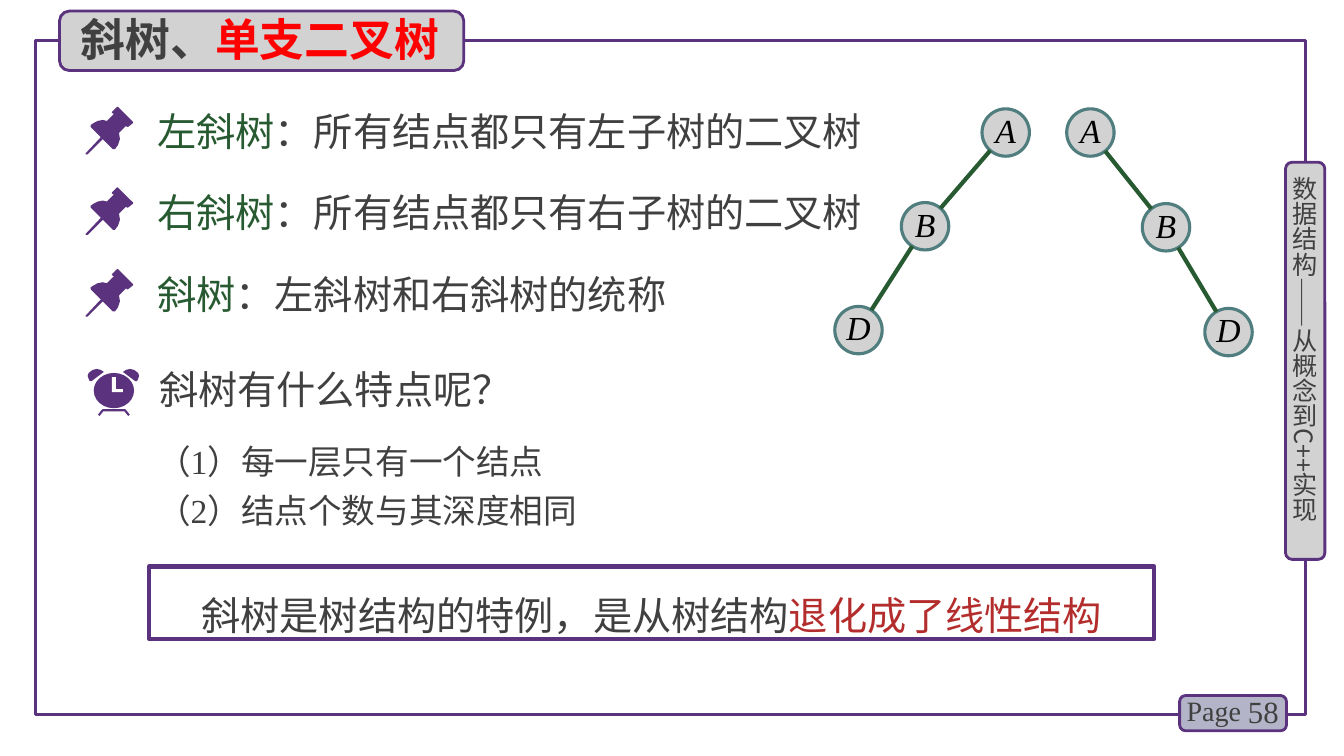
from math import hypot
from pptx import Presentation
from pptx.dml.color import RGBColor
from pptx.enum.shapes import MSO_CONNECTOR, MSO_SHAPE
from pptx.enum.text import MSO_ANCHOR, PP_ALIGN
from pptx.oxml.ns import qn
from pptx.util import Inches, Pt

RECT, ROUND, OVAL = MSO_SHAPE.RECTANGLE, MSO_SHAPE.ROUNDED_RECTANGLE, MSO_SHAPE.OVAL
STRAIGHT = MSO_CONNECTOR.STRAIGHT
TOP, MIDDLE = MSO_ANCHOR.TOP, MSO_ANCHOR.MIDDLE
LEFT, CENTER, RIGHT = PP_ALIGN.LEFT, PP_ALIGN.CENTER, PP_ALIGN.RIGHT
SANS, SERIF = "Noto Sans CJK SC", "Times New Roman"
PURPLE, GRAY, INK, GREEN, WHITE = "5A327D", "D2D2D2", "404040", "285A32", "FFFFFF"

# Grid of 1333 columns by 750 rows
CELL = Inches(0.01)
COLUMNS, ROWS = 1333, 750
hue = RGBColor.from_string

deck = Presentation()
deck.slide_width, deck.slide_height = COLUMNS * CELL, ROWS * CELL
page = deck.slides.add_slide(deck.slide_layouts[6])


def paint(shape, fill=None, line=None, width=0):
    shape.shadow.inherit = False
    if fill:
        shape.fill.solid()
        shape.fill.fore_color.rgb = hue(fill)
    else:
        shape.fill.background()
    if line:
        shape.line.color.rgb = hue(line)
        shape.line.width = Pt(width)
    else:
        shape.line.fill.background()


def write(shape, paragraphs, size, insets=(10, 5), anchor=TOP, align=LEFT,
          spacing=None, **style):
    """Each paragraph is a list of (text, font, colour) spans."""
    frame = shape.text_frame
    across, down = (inset * CELL for inset in insets)
    layout = dict(word_wrap=True, vertical_anchor=anchor, margin_left=across,
                  margin_right=across, margin_top=down, margin_bottom=down)
    for name, value in layout.items():
        setattr(frame, name, value)
    for number, spans in enumerate(paragraphs):
        para = frame.add_paragraph() if number else frame.paragraphs[0]
        para.alignment, para.line_spacing = align, spacing
        for text, font, color in spans:
            span = para.add_run()
            span.text = text
            for name, value in dict(name=font, size=Pt(size), **style).items():
                setattr(span.font, name, value)
            span.font.color.rgb = hue(color)
            east_asian = span.font._element.makeelement(qn("a:ea"), {"typeface": SANS})
            span.font._element.append(east_asian)


# Frame, page tag, side tag and title tag
for kind, place, fill, width in [
    (RECT, (35, 40, 1260, 669), None, 2.25),
    (ROUND, (1170, 690, 106, 35), "B4B4C8", 2),
    (ROUND, (1275, 161, 39, 394), GRAY, 2),
    (ROUND, (59, 11, 401, 59), GRAY, 2),
]:
    tag = page.shapes.add_shape(kind, *(CELL * n for n in place))
    paint(tag, fill, PURPLE, width)

# Plain text boxes
labels = [
    ((1207, 686, 71, 40), [[("58", SERIF, INK)]],
     dict(size=22, anchor=MIDDLE, align=RIGHT)),
    ((1167, 683, 78, 44), [[("Page", SERIF, INK)]], dict(size=20)),
    ((70, 7, 500, 64), [[("斜树、", SANS, INK), ("单支二叉树", SANS, "FF0000")]],
     dict(size=32, bold=True)),
    ((148, 358, 524, 57), [[("斜树有什么特点呢？", SANS, INK)]], dict(size=28)),
    ((146, 424, 496, 108),
     [[("（1）", SERIF, INK), ("每一层只有一个结点", SANS, INK)],
      [("（2）", SERIF, INK), ("结点个数与其深度相同", SANS, INK)]],
     dict(size=24, spacing=Pt(35))),
]
for place, paragraphs, options in labels:
    box = page.shapes.add_textbox(*(CELL * n for n in place))
    write(box, paragraphs, **options)

# Vertical book title
book = page.shapes.add_textbox(*(CELL * n for n in (1279, 175, 30, 378)))
write(book, [[("数据结构——从概念到C++实现", SANS, INK)]], 18, insets=(0, 0))
book.text_frame._txBody.bodyPr.set("vert", "eaVert")

# Definitions, each with a pushpin
pin_head = [(132, 15), (117, 0), (116, 0), (111, 5), (111, 6), (113, 7), (106, 14),
            (102, 13), (97, 14), (93, 16), (90, 18), (90, 20), (112, 42), (114, 42),
            (117, 38), (119, 32), (118, 26), (125, 19), (126, 20), (127, 20), (132, 16)]
pin_needle = [(85, 46), (101, 29), (102, 28), (103, 29), (103, 31), (87, 47), (85, 47)]
definitions = [("左斜树", "：所有结点都只有左子树的二叉树"),
               ("右斜树", "：所有结点都只有右子树的二叉树"),
               ("斜树", "：左斜树和右斜树的统称")]
for row, (term, meaning) in enumerate(definitions):
    drop = round(80.5 * row)
    box = page.shapes.add_textbox(156 * CELL, (93 + drop) * CELL, 719 * CELL, 66 * CELL)
    write(box, [[(term, SERIF, GREEN), (meaning, SERIF, INK)]], 28,
          insets=(0, 5), spacing=Pt(40))
    pin = page.shapes.add_group_shape().shapes
    for outline in (pin_head, pin_needle):
        points = [(x, y + 106 + drop) for x, y in outline]
        pen = pin.build_freeform(*points[0], scale=CELL)
        pen.add_line_segments(points[1:], close=True)
        paint(pen.convert_to_shape(), PURPLE)

# Alarm clock: face, bells, hands, legs
clock = page.shapes.add_group_shape().shapes
paint(clock.add_shape(OVAL, *(CELL * n for n in (93, 370, 40, 35))), PURPLE)
bell = [(103, 369), (100, 367), (96, 366), (92, 367), (88, 370), (87, 373),
        (88, 376), (89, 378), (91, 378)]
mirrored_bell = [(225 - x, y) for x, y in bell]
hands = [(111, 374), (115, 374), (115, 386), (122, 386), (122, 389), (111, 389)]
legs = [(98, 412), (102, 407), (124, 407), (128, 412)]
for points, closed, look in [(bell, True, (PURPLE,)), (mirrored_bell, True, (PURPLE,)),
                             (hands, True, (WHITE,)), (legs, False, (None, PURPLE, 1.5))]:
    pen = clock.build_freeform(*points[0], scale=CELL)
    pen.add_line_segments(points[1:], close=closed)
    paint(pen.convert_to_shape(), *look)

# Left-skewed and right-skewed trees
NODE = 47
for corners in ([(974, 108), (894, 201), (828, 304)],
                [(1058, 108), (1133, 202), (1195, 306)]):
    tree = page.shapes.add_group_shape().shapes
    for letter, (x, y) in zip("ABD", corners):
        node = tree.add_shape(OVAL, x * CELL, y * CELL, NODE * CELL, NODE * CELL)
        paint(node, GRAY, "507D7D", 2.25)
        write(node, [[(letter, SERIF, "000000")]], 24, insets=(0, 0), anchor=MIDDLE,
              align=CENTER, spacing=Pt(25), italic=True)
    centers = [(x + NODE / 2, y + NODE / 2) for x, y in corners]
    for (x1, y1), (x2, y2) in zip(centers, centers[1:]):
        share = NODE / 2 / hypot(x2 - x1, y2 - y1)
        dx, dy = (x2 - x1) * share, (y2 - y1) * share
        ends = (x1 + dx, y1 + dy, x2 - dx, y2 - dy)
        branch = tree.add_connector(STRAIGHT, *(round(n * CELL) for n in ends))
        branch.line.color.rgb = hue(GREEN)
        branch.line.width = Pt(3)
        properties = branch._element.spPr
        properties.append(properties.makeelement(qn("a:effectLst"), {}))

# Conclusion
conclusion = page.shapes.add_shape(RECT, *(CELL * n for n in (148, 562, 997, 72)))
paint(conclusion, None, PURPLE, 3)
write(conclusion, [[("斜树是树结构的特例，是从树结构", SANS, INK),
                    ("退化成了线性结构", SANS, "B42D2D")]],
      28, anchor=MIDDLE, align=CENTER, spacing=1.5)

deck.save("out.pptx")
